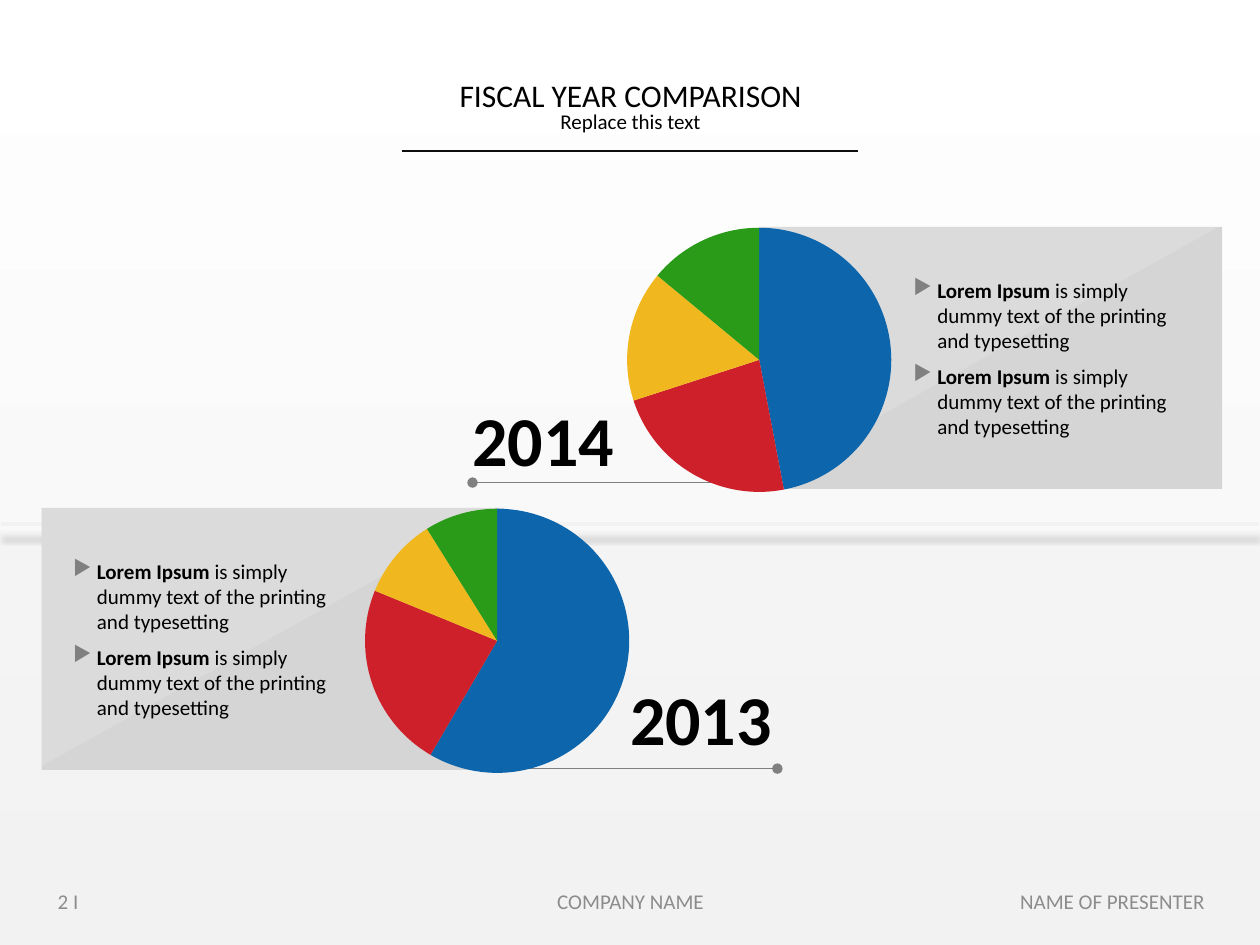
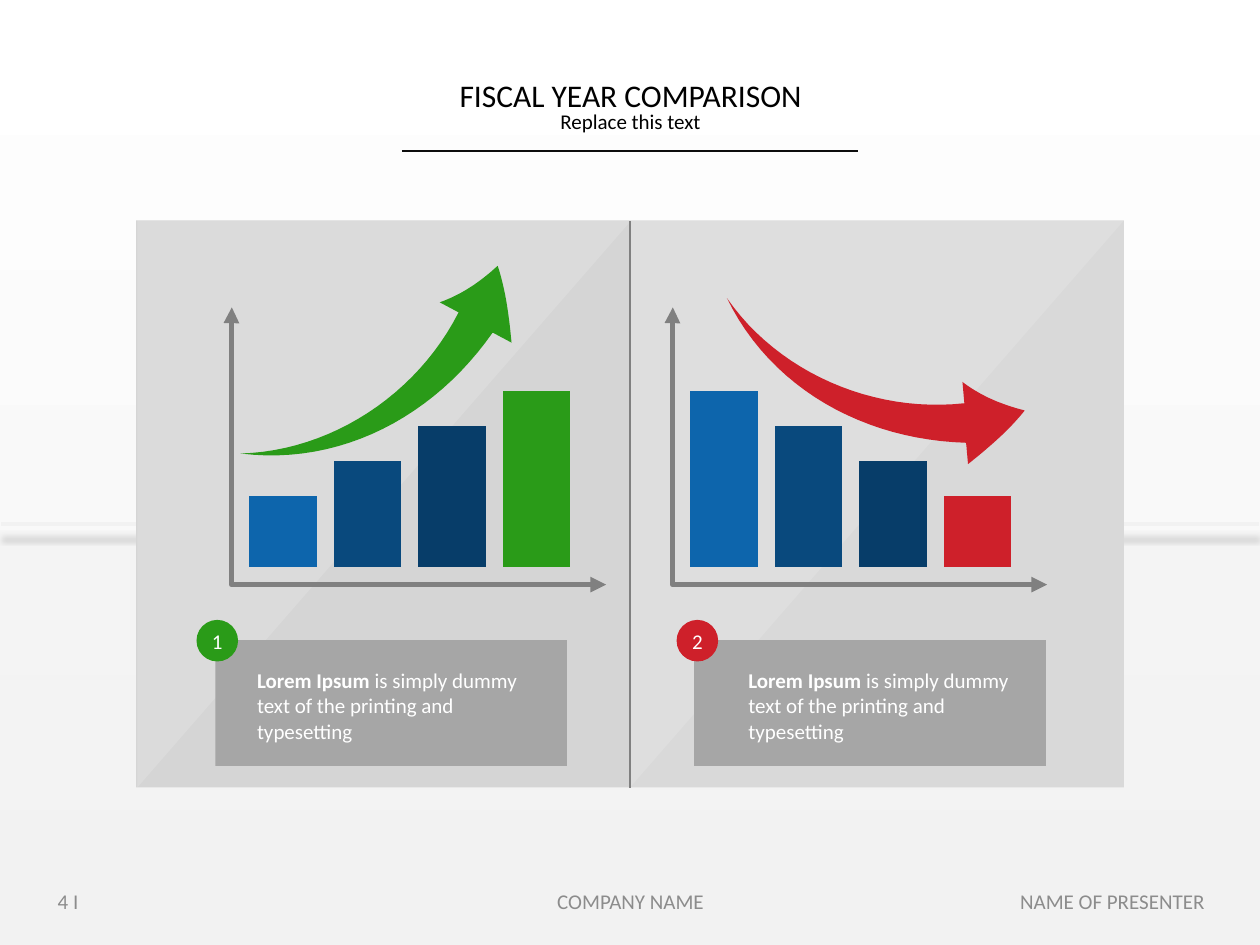
from dataclasses import dataclass
from lxml import etree
from pptx import Presentation
from pptx.chart.data import CategoryChartData as Data
from pptx.dml.color import RGBColor as RGB
from pptx.enum.chart import XL_CHART_TYPE as Kind
from pptx.enum.shapes import MSO_CONNECTOR as Link, MSO_SHAPE as Form
from pptx.enum.text import MSO_ANCHOR as Anchor, MSO_AUTO_SIZE as Fit, PP_ALIGN as Align
from pptx.oxml.ns import qn
from pptx.util import Inches, Pt


@dataclass(frozen=True)
class Theme:
    font: str = "Calibri"
    black: str = "000000"
    white: str = "FFFFFF"
    mist: str = "F2F2F2"
    pale: str = "D9D9D9"
    panel: str = "D5D5D5"
    box: str = "A6A6A6"
    gray: str = "808080"
    foot: str = "8C8C8C"
    rule: str = "0D0D0D"
    blue: str = "0D65AC"
    navy: str = "09497D"
    deep: str = "073D69"
    red: str = "CE202A"
    gold: str = "F0B71F"
    green: str = "2A9B18"
    year: int = 40
    head: int = 18
    body: int = 12


T = Theme()
deck = Presentation()
deck.slide_width, deck.slide_height = Inches(10), Inches(7.5)
unit = deck.slide_width / 100  # the grid has 100 columns and 75 rows


def grid(*cells):
    return [int(cell * unit) for cell in cells]


def write(frame, paras, color, align=Align.LEFT, anchor=Anchor.TOP,
          side=0.0, after=0, space=None, bullet=None):
    """Fill a frame; each paragraph is a list of (text, size, bold) runs."""
    frame.word_wrap = True
    frame.vertical_anchor = anchor
    frame.margin_left = frame.margin_right = Inches(side)
    for i, runs in enumerate(paras):
        para = frame.paragraphs[0] if i == 0 else frame.add_paragraph()
        para.alignment, para.space_after = align, Pt(after)
        if space:
            para.line_spacing = space
        if bullet:
            props = para._p.get_or_add_pPr()
            props.set("marL", str(Inches(0.19)))
            props.set("indent", str(-Inches(0.19)))
            tint = etree.SubElement(props, qn("a:buClr"))
            etree.SubElement(tint, qn("a:srgbClr"), val=T.gray)
            etree.SubElement(props, qn("a:buChar"), char=bullet)
        for words, size, bold in runs:
            run = para.add_run()
            run.text = words
            run.font.name, run.font.size, run.font.bold = T.font, Pt(size), bold
            run.font.color.rgb = RGB.from_string(color)


fills = []  # (shape, colour, opacity in percent)
lines = []  # (connector, colour, width, head, tail)
lorem = [("Lorem Ipsum", T.body, True),
         (" is simply dummy text of the printing and typesetting", T.body, False)]

# Shared backdrop, title and footer
slides = []
for page in (2, 4):
    slide = deck.slides.add_slide(deck.slide_layouts[6])
    slides.append(slide)
    back = slide.background.fill
    back.gradient()
    back.gradient_angle = 270
    for stop, color in zip(back.gradient_stops, (T.white, T.mist)):
        stop.color.rgb = RGB.from_string(color)
    floor = slide.shapes.add_shape(Form.RECTANGLE, *grid(0, 42.1, 100, 32.9))
    fills.append((floor, T.mist, 49))
    edge = slide.shapes.add_connector(Link.STRAIGHT, *grid(0.1, 41.6, 99.9, 41.6))
    lines.append((edge, T.mist, 2, None, None))
    rule = slide.shapes.add_connector(Link.STRAIGHT, *grid(31.9, 12, 68.1, 12))
    lines.append((rule, T.rule, 1, None, None))

    title = slide.shapes.add_textbox(*grid(34, 6.1, 32.1, 5)).text_frame
    write(title, [[("FISCAL YEAR COMPARISON", T.head, False)],
                  [("Replace this text", T.body, False)]],
          T.black, Align.CENTER, side=0.1, space=0.8)
    for words, left, width, align in (
            (f"{page} I", 3.6, 23.3, Align.LEFT),
            ("COMPANY NAME", 34.2, 31.7, Align.CENTER),
            ("NAME OF PRESENTER", 73.3, 23.3, Align.RIGHT)):
        foot = slide.shapes.add_textbox(*grid(left, 69.5, width, 4)).text_frame
        write(foot, [[(words, T.body, False)]], T.foot, align, Anchor.MIDDLE, 0.1)
pies, bars = slides

# Panels, each with a pale triangle over its upper left half
for slide, left, glow, top, width, tall, high, color in (
        (pies, 60.3, 60, 18, 36.7, 20.8, 20.5, T.panel),
        (pies, 3.3, 3.3, 40.3, 36.7, 20.8, 20.5, T.panel),
        (bars, 50, 50, 17.5, 39.2, 45, 45, T.pale),
        (bars, 10.8, 10.9, 17.5, 39.2, 45, 45, T.panel)):
    panel = slide.shapes.add_shape(Form.RECTANGLE, *grid(left, top, width, tall))
    fills.append((panel, color, 100))
    path = slide.shapes.build_freeform(*grid(glow, top), scale=1.0)
    path.add_line_segments([grid(glow + width, top), grid(glow, top + high)])
    fills.append((path.convert_to_shape(), T.white, 15))

# Years: underline, pie, label and bullets
charts = []
for year, vals, ends, pie, label, note in (
        ("2014", (47, 23, 16, 14), (58.3, 38.3, 37.5, 38.3), (43.3, 17.3), (37.5, 30.9), (72.5, 21.5)),
        ("2013", (59, 23, 10, 9), (40.8, 61, 61.7, 61), (22.5, 39.6), (50, 53.1), (5.8, 43.8))):
    under = pies.shapes.add_connector(Link.STRAIGHT, *grid(*ends))
    lines.append((under, T.gray, 0.75, None, "oval"))
    data = Data()
    data.categories = ["1", "2", "3", "4"]
    data.add_series("Series 1", vals)
    chart = pies.shapes.add_chart(Kind.PIE, *grid(*pie, 34.4, 22.9), data).chart
    charts.append((chart, 10, (0.023, 0.034, 0.94, 0.916)))
    chart.plots[0].vary_by_categories = True
    for i, color in enumerate((T.blue, T.red, T.gold, T.green)):
        slice = chart.series[0].points[i].format
        slice.fill.solid()
        slice.fill.fore_color.rgb = RGB.from_string(color)
        slice.line.fill.background()
    frame = pies.shapes.add_textbox(*grid(*label, 13.9, 7.7)).text_frame
    write(frame, [[(year, T.year, True)]], T.black, anchor=Anchor.BOTTOM, after=6)
    frame = pies.shapes.add_textbox(*grid(*note, 22.3, 14)).text_frame
    write(frame, [lorem, lorem], T.black, after=6, bullet="▶")

# Line between the two halves
split = bars.shapes.add_connector(Link.STRAIGHT, *grid(50, 17.5, 50, 62.5))
lines.append((split, T.gray, 0.75, None, None))

# Swoosh outline: each curve has two handles and an end
start = (34.9, 24)
curves = (((36.6, 23.4), (38.1, 22.4), (39.5, 21.1)),
          ((40.1, 22.9), (40.4, 25), (40.6, 27.2)),
          ((40.6, 27.2), (39.1, 26.4), (39.1, 26.4)),
          ((34.5, 33), (27.1, 37), (19.1, 36)),
          ((26.3, 35.8), (33.1, 31.3), (36.4, 24.8)))
swoosh, here = [], start
for one, two, end in curves:
    for step in range(1, 25):
        t = step / 24
        swoosh.append([(1 - t) ** 3 * a + 3 * t * (1 - t) ** 2 * b
                       + 3 * t * t * (1 - t) * c + t ** 3 * d
                       for a, b, c, d in zip(here, one, two, end)])
    here = end

# Trends: columns, axes, swoosh, box and badge
for mark, vals, left, color, shift, turn, box, badge, note in (
        ("1", (40, 60, 80, 100), 17.3, T.green, 0, 0, 17.1, 15.6, 20.4),
        ("2", (100, 80, 60, 40), 52.3, T.red, 39.9, 56.8, 55.1, 53.7, 59.4)):
    data = Data()
    data.categories = ["1"]
    for i, val in enumerate(vals, 1):
        data.add_series(f"Series {i}", [val])
    chart = bars.shapes.add_chart(
        Kind.COLUMN_CLUSTERED, *grid(left, 28.2, 30.5, 20.8), data).chart
    charts.append((chart, 18, (0.016, 0, 0.967, 0.808)))
    plot, scale = chart.plots[0], chart.value_axis
    plot.gap_width, plot.overlap, plot.vary_by_categories = 75, -25, False
    scale.minimum_scale, scale.maximum_scale = 0, 120
    scale.has_major_gridlines = False
    scale.visible = chart.category_axis.visible = False
    for series, tone in zip(plot.series, (T.blue, T.navy, T.deep, color)):
        series.format.fill.solid()
        series.format.fill.fore_color.rgb = RGB.from_string(tone)

    axes = bars.shapes.add_connector(
        Link.ELBOW, *grid(left + 1.1, 24.4, left + 30.8, 46.4))
    bend = axes._element.spPr.find(qn("a:prstGeom")).get_or_add_avLst()
    etree.SubElement(bend, qn("a:gd"), name="adj1", fmla="val -100")
    lines.append((axes, T.gray, 3, "triangle", "triangle"))

    path = bars.shapes.build_freeform(*grid(start[0] + shift, start[1]), scale=1.0)
    path.add_line_segments([grid(x + shift, y) for x, y in swoosh])
    arrow = path.convert_to_shape()
    arrow.rotation = turn
    fills.append((arrow, color, 100))

    card = bars.shapes.add_shape(Form.RECTANGLE, *grid(box, 50.8, 27.9, 10))
    fills.append((card, T.box, 100))
    dot = bars.shapes.add_shape(Form.OVAL, *grid(badge, 49.2, 3.3, 3.3))
    fills.append((dot, color, 100))
    write(dot.text_frame, [[(mark, T.body, False)]], T.white, Align.CENTER, Anchor.MIDDLE)
    frame = bars.shapes.add_textbox(*grid(note, 52.5, 22.3, 7.1)).text_frame
    write(frame, [lorem], T.white, after=6)

# Fill every shape
for shape, color, alpha in fills:
    shape.shadow.inherit = False
    shape.line.fill.background()
    shape.fill.solid()
    shape.fill.fore_color.rgb = RGB.from_string(color)
    if alpha < 100:
        tint = shape._element.spPr.find(qn("a:solidFill"))[0]
        etree.SubElement(tint, qn("a:alpha"), val=str(alpha * 1000))

# Style every line; only the backdrop edge casts a shadow
for link, color, width, head, tail in lines:
    link.line.color.rgb = RGB.from_string(color)
    link.line.width = Pt(width)
    stroke = link.line._get_or_add_ln()
    for tag, tip in (("a:headEnd", head), ("a:tailEnd", tail)):
        if tip:
            etree.SubElement(stroke, qn(tag), type=tip)
    effect = etree.SubElement(link._element.spPr, qn("a:effectLst"))
    if color == T.mist:
        cast = etree.SubElement(effect, qn("a:outerShdw"), blurRad=str(Pt(3)),
                                dist=str(Pt(8)), dir="5400000", rotWithShape="0")
        tint = etree.SubElement(cast, qn("a:srgbClr"), val=T.black)
        etree.SubElement(tint, qn("a:alpha"), val="16000")

# Set type, clear ground and inner plot area of every chart
for chart, size, area in charts:
    chart.has_legend = chart.has_title = False
    chart.font.name, chart.font.size = T.font, Pt(size)
    chart.font.color.rgb = RGB.from_string(T.black)
    root = chart._chartSpace.find(qn("c:chart"))
    clear = etree.Element(qn("c:spPr"))
    etree.SubElement(clear, qn("a:noFill"))
    etree.SubElement(etree.SubElement(clear, qn("a:ln")), qn("a:noFill"))
    root.addnext(clear)
    inner = root.find(qn("c:plotArea"))
    for old in inner.findall(qn("c:layout")):
        inner.remove(old)
    layout = etree.Element(qn("c:layout"))
    manual = etree.SubElement(layout, qn("c:manualLayout"))
    pairs = [("layoutTarget", "inner"), ("xMode", "edge"), ("yMode", "edge")]
    for tag, val in pairs + list(zip("xywh", area)):
        etree.SubElement(manual, qn(f"c:{tag}"), val=str(val))
    inner.insert(0, layout)

# Let text boxes grow with their text, except the footers
for slide in slides:
    for shape in slide.shapes:
        if shape.has_text_frame and shape.top < 69 * unit and shape.text_frame.text:
            shape.text_frame.auto_size = Fit.SHAPE_TO_FIT_TEXT if shape.height > 4 * unit else Fit.NONE

deck.save("out.pptx")
